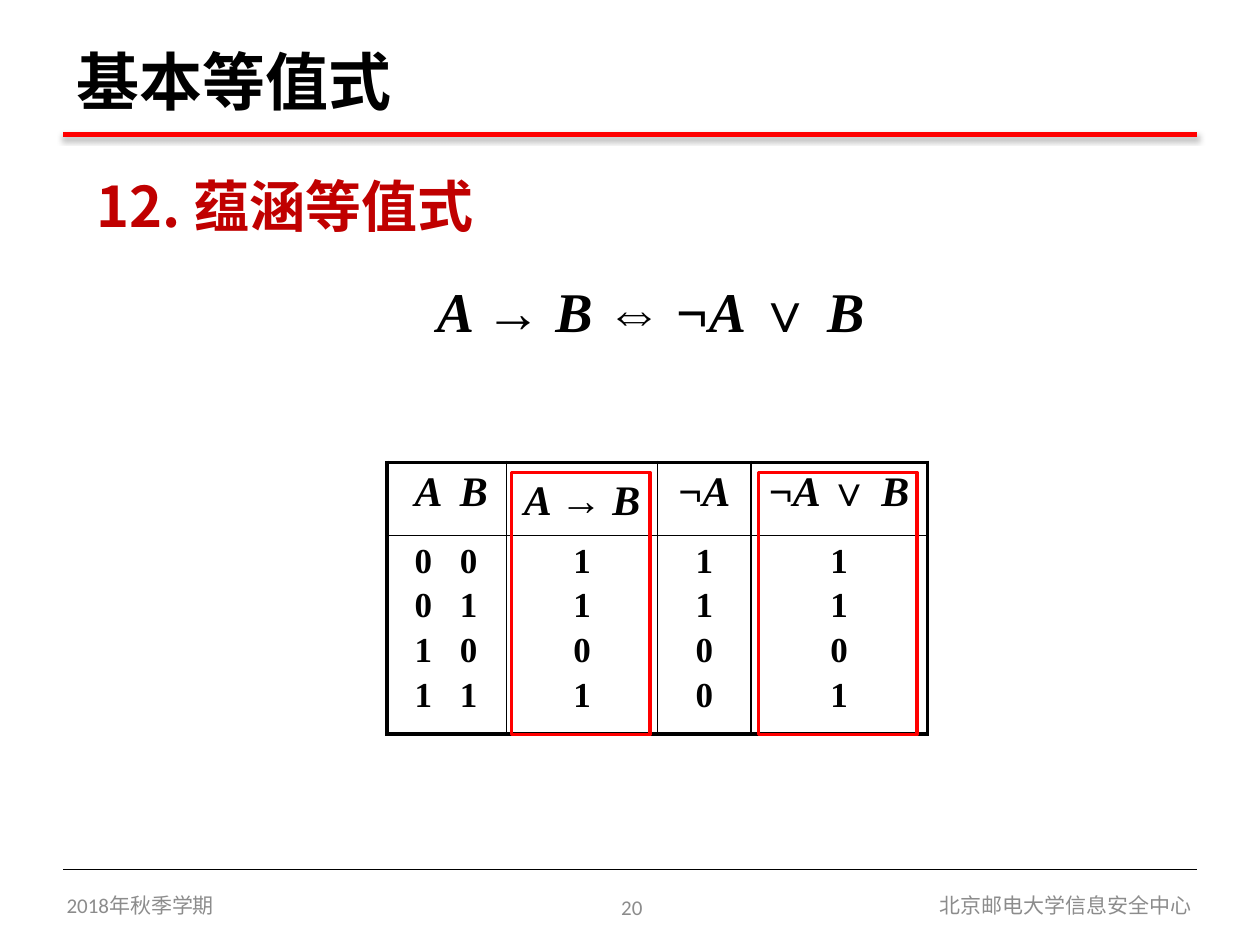
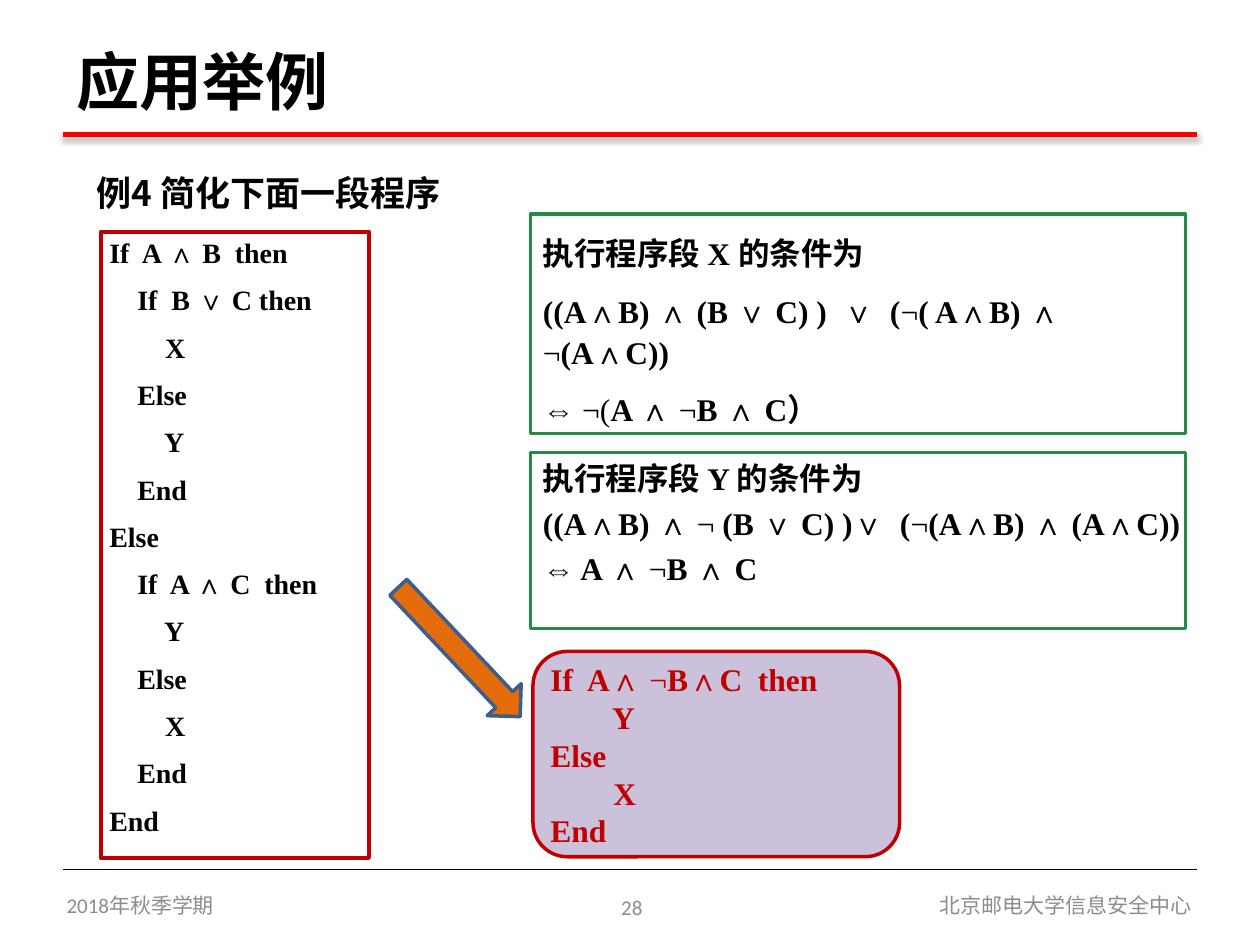
from dataclasses import dataclass, field
from typing import Any, NamedTuple

from lxml import etree
from pptx import Presentation
from pptx.dml.color import RGBColor
from pptx.enum.shapes import MSO_CONNECTOR, MSO_SHAPE
from pptx.enum.text import MSO_ANCHOR, PP_ALIGN
from pptx.oxml.ns import qn
from pptx.util import Emu, Pt

SCALE = 9144
RECT, ROUND, ARROW = MSO_SHAPE.RECTANGLE, MSO_SHAPE.ROUNDED_RECTANGLE, MSO_SHAPE.RIGHT_ARROW
LEFT, CENTER = PP_ALIGN.LEFT, PP_ALIGN.CENTER
TOP, MIDDLE = MSO_ANCHOR.TOP, MSO_ANCHOR.MIDDLE
STRAIGHT = MSO_CONNECTOR.STRAIGHT

BLACK, RED, DARK, GREEN = "000000", "FF0000", "C00000", "238D46"
GRAY, LILAC, ORANGE, BLUE = "8C8C8C", "CCC1DA", "E46C0A", "3A5F8C"
HAN, SERIF, SANS = "Noto Sans CJK SC", "Times New Roman", "Calibri"

TITLE = dict(size=Pt(36), name=HAN, bold=True, color=BLACK)
HEAD = dict(TITLE, size=Pt(32), color=DARK)
TASK = dict(TITLE, size=Pt(20))
FOOT = dict(size=Pt(12), name=SANS, color=GRAY)
MATH = dict(size=Pt(32), name=SERIF, bold=True, color=BLACK)
LABEL = dict(MATH, size=Pt(24))
DIGIT = dict(MATH, size=Pt(20))
CODE = dict(MATH, size=Pt(16))
PROOF = dict(MATH, size=Pt(18))
RESULT = dict(PROOF, color=DARK)
SLANT = dict(italic=True)
PLAIN = dict(bold=False)


class Box(NamedTuple):
    left: int
    top: int
    width: int
    height: int


@dataclass
class Para:
    text: str
    font: dict[str, Any]
    alt: dict[str, Any] = field(default_factory=dict)
    look: dict[str, Any] = field(default_factory=dict)
    indent: int = 0
    tab: int = 0


@dataclass
class Frame:
    box: Box
    line: str
    fill: str = ""
    kind: Any = RECT
    turn: float = 0


def px(value: int) -> Emu:
    return Emu(value * SCALE)


def tint(code: str) -> RGBColor:
    return RGBColor.from_string(code)


def add_tag(parent: Any, tag: str, **attrs: Any) -> Any:
    return etree.SubElement(parent, qn(tag), {k: str(v) for k, v in attrs.items()})


def add_run(para: Any, text: str, values: dict[str, Any]) -> None:
    run = para.add_run()
    run.text = text
    for key, value in values.items():
        if key == "color":
            run.font.color.rgb = tint(value)
        else:
            setattr(run.font, key, value)
    add_tag(run._r.get_or_add_rPr(), "a:ea", typeface=HAN)


def write(frame: Any, paras: list[Para]) -> None:
    for i, item in enumerate(paras):
        para = frame.paragraphs[0] if i == 0 else frame.add_paragraph()
        props = para._p.get_or_add_pPr()
        if item.indent:
            props.set("marL", str(px(item.indent)))
        if item.tab:
            stops = add_tag(props, "a:tabLst")
            add_tag(stops, "a:tab", pos=px(item.tab), algn="l")
        for key, value in item.look.items():
            setattr(para, key, value)
        for j, part in enumerate(item.text.split("|")):
            if part:
                add_run(para, part, {**item.font, **(item.alt if j % 2 else {})})


def add_text(slide: Any, box: Box, paras: list[Para], anchor: Any = TOP) -> None:
    frame = slide.shapes.add_textbox(*map(px, box)).text_frame
    frame.word_wrap = True
    frame.vertical_anchor = anchor
    write(frame, paras)


def add_frame(slide: Any, item: Frame) -> None:
    shape = slide.shapes.add_shape(item.kind, *map(px, item.box))
    shape.shadow.inherit = False
    shape.rotation = item.turn
    shape.line.color.rgb = tint(item.line)
    shape.line.width = Pt(2)
    if item.fill:
        shape.fill.solid()
        shape.fill.fore_color.rgb = tint(item.fill)
    else:
        shape.fill.background()


def add_rule(slide: Any, top: int, color: str, width: float, shade: bool = False) -> None:
    rule = slide.shapes.add_connector(STRAIGHT, px(50), px(top), px(950), px(top))
    rule.line.color.rgb = tint(color)
    rule.line.width = Pt(width)
    effect = add_tag(rule._element.spPr, "a:effectLst")
    if shade:
        shadow = add_tag(effect, "a:outerShdw", blurRad=Pt(3.1), dist=Pt(1.8),
                         dir=90 * 60000, rotWithShape=0)
        add_tag(add_tag(shadow, "a:srgbClr", val=BLACK), "a:alpha", val=35000)


def add_page(deck: Any, title: str, number: int) -> Any:
    slide = deck.slides.add_slide(deck.slide_layouts[6])
    add_rule(slide, 107, RED, 3, True)
    add_rule(slide, 690, BLACK, 0.75)
    add_text(slide, Box(51, 28, 638, 71), [Para(title, TITLE)], MIDDLE)
    notes = [
        (Box(43, 698, 244, 40), "2018年秋季学期", LEFT),
        (Box(385, 700, 233, 40), str(number), CENTER),
        (Box(736, 698, 236, 40), "北京邮电大学信息安全中心", LEFT),
    ]
    for box, text, side in notes:
        add_text(slide, box, [Para(text, FOOT, look=dict(alignment=side))], MIDDLE)
    return slide


def edge(cell: Any, row: int, col: int, rows: int, cols: int) -> None:
    outer = dict(lnL=col == 0, lnR=col == cols - 1, lnT=row == 0, lnB=row == rows - 1)
    props = cell._tc.get_or_add_tcPr()
    for tag, thick in outer.items():
        line = add_tag(props, f"a:{tag}", w=Pt(2.25 if thick else 1))
        add_tag(add_tag(line, "a:solidFill"), "a:srgbClr", val=BLACK)


def add_truth(slide: Any) -> None:
    heads = ["|A\tB", "|A |→ |B", "¬|A", "¬|A |∨ |B"]
    values = [["0\t0", "0\t1", "1\t0", "1\t1"], "1101", "1100", "1101"]
    widths, heights = [95, 120, 74, 140], [58, 146]
    size = len(heights), len(widths)
    table = slide.shapes.add_table(*size, *map(px, Box(307, 367, 429, 204))).table
    table.first_row = table.horz_banding = False
    for row, height in enumerate(heights):
        table.rows[row].height = px(height)
    for col, width in enumerate(widths):
        table.columns[col].width = px(width)
        pair = col == 0
        look = dict(alignment=LEFT if pair else CENTER)
        tab = 36 if pair else 0
        top = dict(look, line_spacing=1.2) if col == 1 else look
        cells = [
            [Para(heads[col], LABEL, SLANT, top, tab=tab)],
            [Para(text, DIGIT, look=dict(look, space_before=Pt(3.4 if i else 0)), tab=tab)
             for i, text in enumerate(values[col])],
        ]
        for row, paras in enumerate(cells):
            cell = table.cell(row, col)
            edge(cell, row, col, *size)
            cell.fill.background()
            cell.margin_left = px(22 if pair else 10)
            cell.margin_right = px(5 if pair else 10)
            write(cell.text_frame, paras)


def add_law(deck: Any) -> None:
    slide = add_page(deck, "基本等值式", 20)
    add_text(slide, Box(67, 131, 867, 539), [
        Para("12. 蕴涵等值式", HEAD),
        Para("|A |→ |B |⇔ ¬|A |∨ |B", MATH, SLANT, dict(space_before=Pt(22)), indent=270),
    ])
    add_truth(slide)
    for left, width in [(406, 110), (602, 126)]:
        add_frame(slide, Frame(Box(left, 375, width, 208), RED))


def add_case(deck: Any) -> None:
    slide = add_page(deck, "应用举例", 28)
    code = """If  A ∧ B  then
    If  B ∨ C then
        X
    Else
        Y
    End
Else
    If  A ∧ C  then
        Y
    Else
        X
    End
End"""
    steps = [
        Para(text, CODE, look=dict(line_spacing=1.2, space_before=Pt(4 if i else 9)), indent=10)
        for i, text in enumerate(code.split("\n"))
    ]
    add_text(slide, Box(67, 131, 867, 539), [Para("例4 简化下面一段程序", TASK), *steps])

    proofs = [
        (Box(421, 178, 528, 140), 1.1, 9, [
            "执行程序段 X 的条件为",
            "((A∧B) ∧ (B ∨ C) )  ∨  (|¬|( A∧B) ∧ |¬|(A∧C))",
            "⇔ |¬(|A ∧ |¬|B ∧ C）",
        ]),
        (Box(421, 353, 535, 119), 1.2, 0, [
            "执行程序段 Y 的条件为",
            "((A∧B) ∧ |¬ |(B ∨ C) )∨  (|¬|(A∧B) ∧ (A∧C))",
            "⇔ A ∧ |¬|B ∧ C",
        ]),
    ]
    for box, pitch, gap, texts in proofs:
        add_text(slide, box, [
            Para(text, PROOF, PLAIN, dict(line_spacing=pitch, space_before=Pt(gap if i else 0)))
            for i, text in enumerate(texts)
        ])

    frames = [
        Frame(Box(423, 517, 291, 163), DARK, LILAC, ROUND),
        Frame(Box(80, 184, 213, 497), DARK),
        Frame(Box(421, 170, 520, 174), GREEN),
        Frame(Box(421, 359, 520, 140), GREEN),
        Frame(Box(294, 499, 141, 37), BLUE, ORANGE, ARROW, 46.7),
    ]
    for item in frames:
        add_frame(slide, item)
    short = """If  A∧ |¬|B∧C  then
        Y
Else
        X
End"""
    add_text(slide, Box(427, 519, 311, 162),
             [Para(text, RESULT, PLAIN) for text in short.split("\n")])


def main() -> None:
    deck = Presentation()
    deck.slide_width, deck.slide_height = px(1000), px(750)
    add_law(deck)
    add_case(deck)
    deck.save("out.pptx")


if __name__ == "__main__":
    main()
